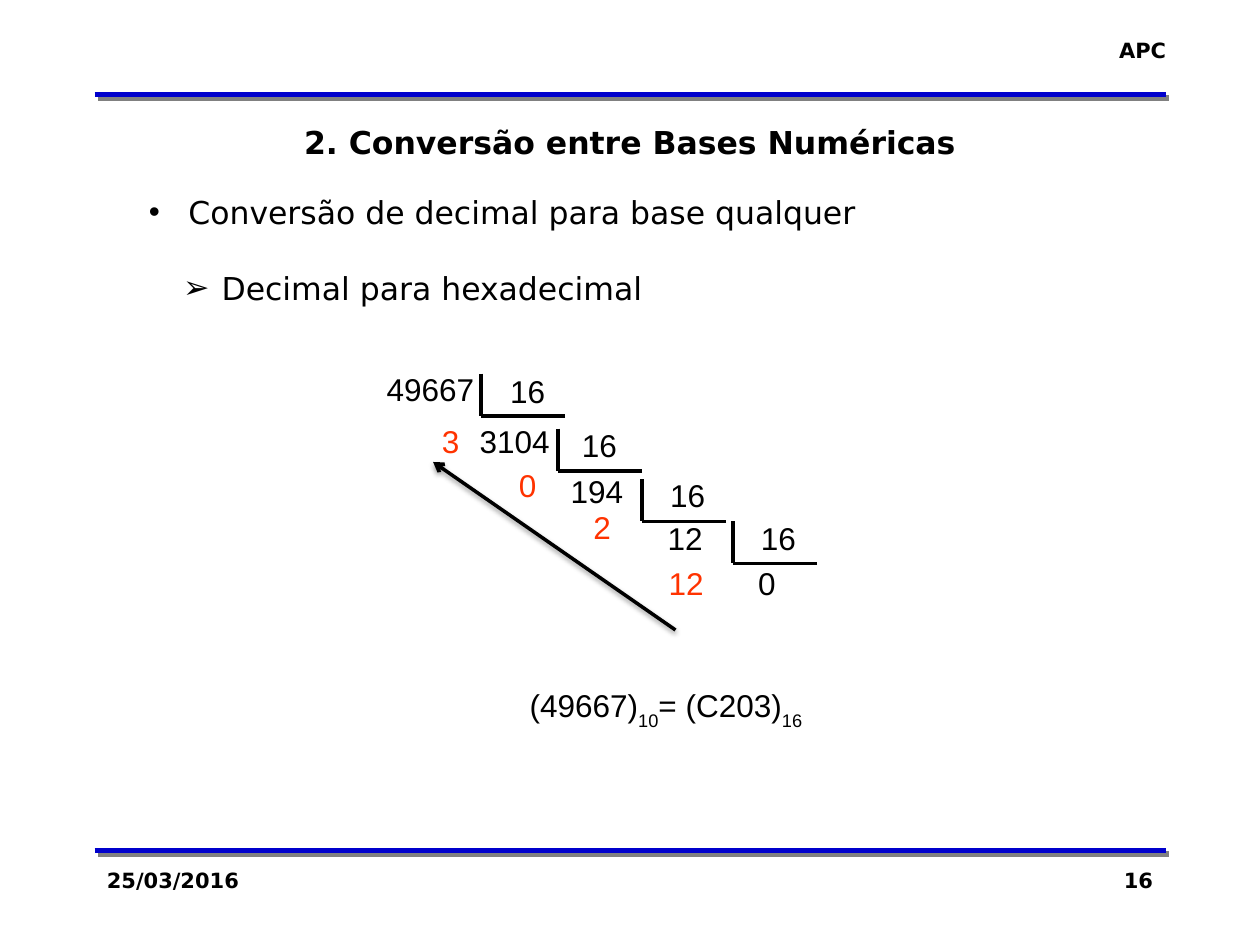
from dataclasses import dataclass

import pptx
import pptx.dml.color
import pptx.enum.shapes
import pptx.enum.text
import pptx.oxml
import pptx.oxml.ns
import pptx.util

Pt = pptx.util.Pt
ALIGN = pptx.enum.text.PP_ALIGN
COLORS = {"text": "000000", "rule": "0000CC", "rule_shadow": "808080", "remainder": "FF3300"}
HEADING_FONT = "DejaVu Sans"
NUMBER_FONT = "Arial"
BRACKET_WIDTH, BRACKET_HEIGHT = 48, 24


@dataclass
class Shadow:
    color: str
    opacity: int
    blur: float
    distance: float
    angle: int


@dataclass
class Division:
    corner: tuple[float, float]
    dividend: str
    dividend_at: tuple[float, float]
    divisor_at: tuple[float, float]
    remainder: str
    remainder_at: tuple[float, float]


DIVISIONS = [
    Division((275, 237.5), "49667", (213.8, 208), (284.4, 208.8), "3", (245.5, 237.6)),
    Division((319, 269), "3104", (267, 237.6), (325.4, 239.8), "0", (289.4, 262.8)),
    Division((367, 298), "194", (319, 266.4), (375.8, 268.6), "2", (332, 286.6)),
    Division((419, 322), "12", (374.4, 293), (427.7, 293), "12", (375, 319)),
]


def drawing_xml(content: str):
    return pptx.oxml.parse_xml(content.replace("NS", pptx.oxml.ns.nsdecls("a"), 1))


def write_text(paragraph, text: str, *, size: float = 18, font: str = NUMBER_FONT,
               color: str = "text", bold: bool = False, align=None, baseline: int = 0) -> None:
    run = paragraph.add_run()
    run.text = text
    run.font.size = Pt(size)
    run.font.name = font
    run.font.bold = bold
    run.font.color.rgb = pptx.dml.color.RGBColor.from_string(COLORS[color])
    if align is not None:
        paragraph.alignment = align
    if baseline:
        run.font._element.set("baseline", str(baseline * 1000))


def add_text_box(slide, left: float, top: float, width: float, height: float,
                 text: str, wrap: bool = True, **text_format) -> None:
    shape = slide.shapes.add_textbox(Pt(left), Pt(top), Pt(width), Pt(height))
    shape.text_frame.word_wrap = wrap
    write_text(shape.text_frame.paragraphs[0], text, **text_format)


def add_number(slide, text: str, position: tuple[float, float], color: str = "text") -> None:
    add_text_box(slide, *position, 14.5 + 10 * len(text), 29, text, wrap=False, color=color)


def add_line(slide, start: tuple[float, float], end: tuple[float, float], *, width: float,
             color: str = "text", shadow: Shadow | None = None, arrow: bool = False) -> None:
    line = slide.shapes.add_connector(pptx.enum.shapes.MSO_CONNECTOR.STRAIGHT,
                                      *(Pt(value) for value in start + end))
    line.line.width = Pt(width)
    line.line.color.rgb = pptx.dml.color.RGBColor.from_string(COLORS[color])
    if arrow:
        line.line._get_or_add_ln().append(drawing_xml('<a:tailEnd NS type="arrow"/>'))
    effects = drawing_xml("<a:effectLst NS/>")
    if shadow:
        effects.append(drawing_xml(
            f'<a:outerShdw NS blurRad="{int(Pt(shadow.blur))}" dist="{int(Pt(shadow.distance))}" '
            f'dir="{shadow.angle * 60000}" algn="ctr" rotWithShape="0">'
            f'<a:srgbClr val="{COLORS[shadow.color]}"><a:alpha val="{shadow.opacity * 1000}"/>'
            '</a:srgbClr></a:outerShdw>'))
    line._element.spPr.append(effects)


def set_indent(paragraph, margin: float, hanging: float = 0, bullet: str = "") -> None:
    properties = paragraph._p.get_or_add_pPr()
    properties.set("marL", str(int(Pt(margin))))
    properties.set("indent", str(-int(Pt(hanging))))
    if bullet:
        properties.append(drawing_xml('<a:buFont NS typeface="Arial"/>'))
        properties.append(drawing_xml(f'<a:buChar NS char="{bullet}"/>'))


def add_division(slide, division: Division) -> None:
    left, bottom = division.corner
    add_line(slide, (left, bottom - BRACKET_HEIGHT), division.corner, width=2.25)
    add_line(slide, (left + BRACKET_WIDTH, bottom), division.corner, width=2.25)
    add_number(slide, division.dividend, division.dividend_at)
    add_number(slide, "16", division.divisor_at)
    add_number(slide, division.remainder, division.remainder_at, "remainder")


def add_body(slide) -> None:
    shape = slide.shapes.add_textbox(Pt(78), Pt(106.5), Pt(569), Pt(334))
    frame = shape.text_frame
    frame.word_wrap = True
    topic, subtopic, result = frame.paragraphs[0], frame.add_paragraph(), frame.add_paragraph()

    subtopic.space_before = Pt(22)
    result.space_before = Pt(217)
    set_indent(topic, 22.5, 22.5, "•")
    set_indent(subtopic, 41.5, 22, "➢")
    set_indent(result, 36)

    write_text(topic, "Conversão de decimal para base qualquer",
               font=HEADING_FONT, align=ALIGN.JUSTIFY)
    write_text(subtopic, "Decimal para hexadecimal", font=HEADING_FONT, align=ALIGN.JUSTIFY)
    for text, baseline in (("(49667)", 0), ("10", -30), ("= (C203)", 0), ("16", -30)):
        write_text(result, text, align=ALIGN.CENTER, baseline=baseline)


def main() -> None:
    presentation = pptx.Presentation()
    presentation.slide_width, presentation.slide_height = Pt(720), Pt(540)
    slide = presentation.slides.add_slide(presentation.slide_layouts[5])

    # Title
    title = slide.shapes.title
    title.left, title.top, title.width, title.height = Pt(54), Pt(66.5), Pt(612), Pt(51)
    title.text_frame.vertical_anchor = pptx.enum.text.MSO_ANCHOR.TOP
    title.text_frame.auto_size = pptx.enum.text.MSO_AUTO_SIZE.NONE
    write_text(title.text_frame.paragraphs[0], "2. Conversão entre Bases Numéricas",
               font=HEADING_FONT, bold=True, align=ALIGN.CENTER)

    # Header and footer
    rule_shadow = Shadow("rule_shadow", 100, 0, 2.8, 45)
    for top in (54, 486):
        add_line(slide, (54, top), (666, top), width=3, color="rule", shadow=rule_shadow)
    margin_format = {"size": 12, "font": HEADING_FONT, "bold": True}
    add_text_box(slide, 631.5, 18, 42, 21.5, "APC", wrap=False, align=ALIGN.RIGHT, **margin_format)
    add_text_box(slide, 54, 492, 150, 36, "25/03/2016", **margin_format)
    add_text_box(slide, 516, 492, 150, 36, "16", align=ALIGN.RIGHT, **margin_format)

    # Topics and result
    add_body(slide)

    # Successive divisions, with the remainders read upwards
    for division in DIVISIONS:
        add_division(slide, division)
    add_number(slide, "0", (426.2, 319))
    add_line(slide, (386, 360), (247.5, 264), width=2, arrow=True,
             shadow=Shadow("text", 38, 3.1, 1.6, 90))

    presentation.save("out.pptx")


if __name__ == "__main__":
    main()
